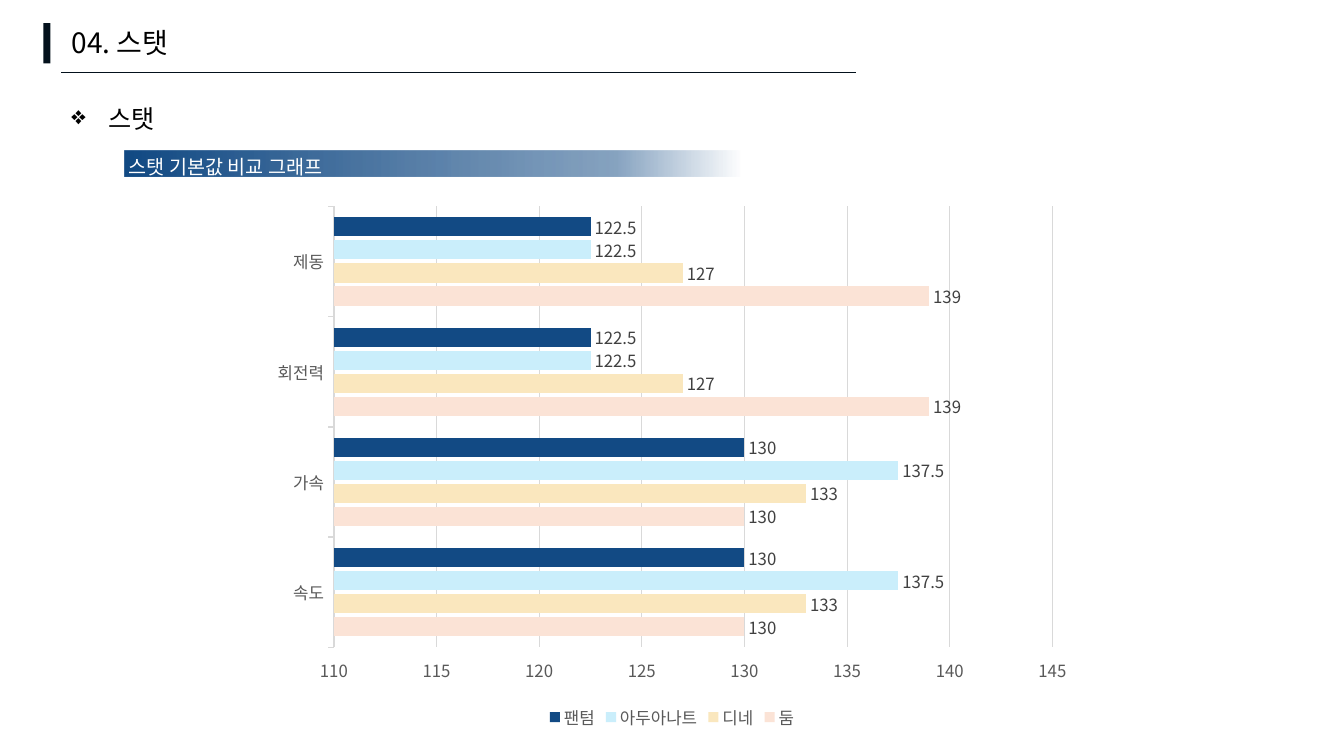
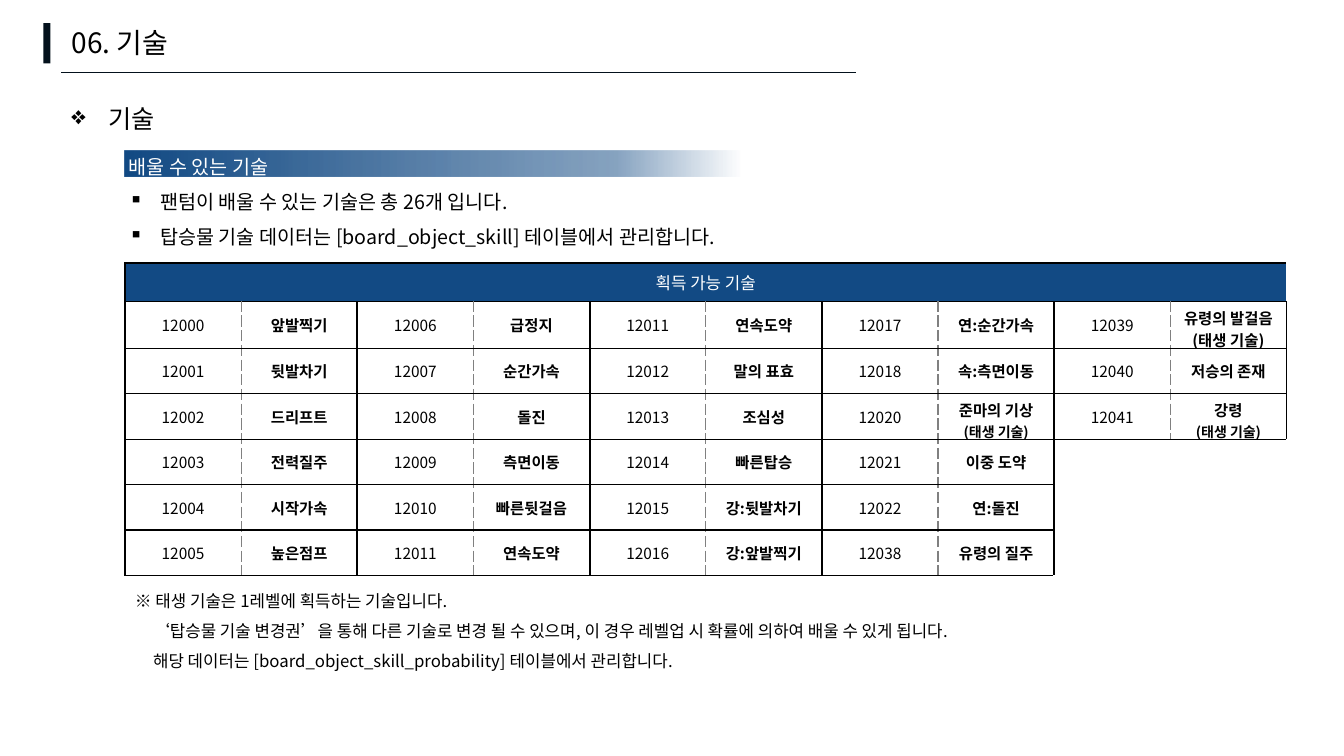
from lxml import etree
from pptx import Presentation
from pptx.chart.data import CategoryChartData
from pptx.dml.color import RGBColor
from pptx.enum.chart import XL_CHART_TYPE as ChartType, XL_LABEL_POSITION as LabelPos
from pptx.enum.chart import XL_LEGEND_POSITION as LegendPos, XL_TICK_MARK as TickMark
from pptx.enum.shapes import MSO_CONNECTOR as Connector, MSO_SHAPE as Shape
from pptx.enum.text import MSO_ANCHOR as Anchor, MSO_AUTO_SIZE as AutoSize, PP_ALIGN as Align
from pptx.oxml.ns import qn
from pptx.util import Inches, Pt

FONT = "Noto Sans CJK KR"
NAVY, INK, BLACK, WHITE = "124A84", "03111C", "000000", "FFFFFF"
GRAY, DARK_GRAY, LABEL_GRAY, GRID = "808080", "595959", "404040", "D9D9D9"

STATS = ["속도", "가속", "회전력", "제동"]
MOUNTS = [
    ("둠", [130, 130, 139, 139], "FBE3D6"),
    ("디네", [133, 133, 127, 127], "FAE7BE"),
    ("아두아나트", [137.5, 137.5, 122.5, 122.5], "CAEEFB"),
    ("팬텀", [130, 130, 122.5, 122.5], NAVY),
]

SKILL_GROUPS = [
    [("12000", "앞발찍기"), ("12001", "뒷발차기"), ("12002", "드리프트"),
     ("12003", "전력질주"), ("12004", "시작가속"), ("12005", "높은점프")],
    [("12006", "급정지"), ("12007", "순간가속"), ("12008", "돌진"),
     ("12009", "측면이동"), ("12010", "빠른뒷걸음"), ("12011", "연속도약")],
    [("12011", "연속도약"), ("12012", "말의 표효"), ("12013", "조심성"),
     ("12014", "빠른탑승"), ("12015", "강:뒷발차기"), ("12016", "강:앞발찍기")],
    [("12017", "연:순간가속"), ("12018", "속:측면이동"), ("12020", "준마의 기상\n(태생 기술)"),
     ("12021", "이중 도약"), ("12022", "연:돌진"), ("12038", "유령의 질주")],
    [("12039", "유령의 발걸음\n(태생 기술)"), ("12040", "저승의 존재"),
     ("12041", "강령\n(태생 기술)")],
]
FULL_SIZE_NOTES = {"12039"}


def rgb(value):
    return RGBColor.from_string(value)


def add_xml(parent, tag, **attributes):
    return etree.SubElement(parent, qn(tag), attributes)


def set_font(font, size=12, color=BLACK, bold=False):
    font.size, font.bold, font.name = Pt(size), bold, FONT
    font.color.rgb = rgb(color)
    add_xml(font._rPr, "a:ea", typeface=FONT)


def write(para, text, note_size=None, **style):
    for index, line in enumerate(text.split("\n")):
        if index:
            para.add_line_break()
            if note_size:
                style["size"] = note_size
        span = para.add_run()
        span.text = line
        set_font(span.font, **style)


def set_indent(para, left, bullet=None):
    props = para._p.get_or_add_pPr()
    props.set("marL", str(Inches(left)))
    props.set("indent", str(-Inches(left) if bullet else 0))
    if bullet:
        add_xml(props, "a:buChar", char=bullet)


def set_borders(cell, **edges):
    props = cell._tc.get_or_add_tcPr()
    for side in "LRTB":
        if side not in edges:
            continue
        color, width, dash = edges[side]
        line = add_xml(props, "a:ln" + side, w=str(Pt(width)))
        add_xml(add_xml(line, "a:solidFill"), "a:srgbClr", val=color)
        add_xml(line, "a:prstDash", val=dash)


class Deck:
    THIN = (BLACK, 1, "solid")
    THICK = (BLACK, 1.5, "solid")
    DASHED = (GRAY, 1, "sysDash")

    def __init__(self):
        self.deck = Presentation()
        self.deck.slide_width, self.deck.slide_height = Inches(13.33), Inches(7.5)
        self.page = None

    def new_page(self, title, topic):
        self.page = self.deck.slides.add_slide(self.deck.slide_layouts[5])
        self.fade_band()
        self.rect(0.43, 0.23, 0.07, 0.4, INK)
        self.rule(0.61, 8.49, 0.72)
        self.title(title)
        self.text(0.61, 0.83, 11.05, 0.5, [(topic, 18, BLACK, 0.37, "❖")])

    def title(self, text):
        box = self.page.shapes.title
        box.left, box.top, box.width, box.height = map(Inches, (0.61, 0.2, 4.69, 0.44))
        frame = box.text_frame
        frame.auto_size, frame.vertical_anchor = AutoSize.NONE, Anchor.TOP
        frame.paragraphs[0].alignment = Align.LEFT
        write(frame.paragraphs[0], text, size=20)

    def rect(self, left, top, width, height, color):
        box = self.page.shapes.add_shape(Shape.RECTANGLE, *map(Inches, (left, top, width, height)))
        box.shadow.inherit = False
        box.fill.solid()
        box.fill.fore_color.rgb = rgb(color)
        box.line.fill.background()
        return box

    def fade_band(self):
        band = self.rect(1.24, 1.49, 6.1, 0.26, NAVY)
        band.fill.gradient()
        band.fill.gradient_angle = 180
        stops = band._element.spPr.find(qn("a:gradFill")).find(qn("a:gsLst"))
        for stop in list(stops):
            stops.remove(stop)
        for position, alpha in ((0, 0), (20, 50), (100, 100)):
            stop = add_xml(stops, "a:gs", pos=str(position * 1000))
            color = add_xml(stop, "a:srgbClr", val=NAVY)
            add_xml(color, "a:alpha", val=str(alpha * 1000))

    def rule(self, start, end, top):
        line = self.page.shapes.add_connector(
            Connector.STRAIGHT, Inches(start), Inches(top), Inches(end), Inches(top))
        line.line.color.rgb = rgb(INK)
        line.line.width = Pt(0.25)
        add_xml(line._element.spPr, "a:effectLst")

    def text(self, left, top, width, height, lines):
        box = self.page.shapes.add_textbox(*map(Inches, (left, top, width, height)))
        frame = box.text_frame
        frame.word_wrap, frame.auto_size = True, AutoSize.SHAPE_TO_FIT_TEXT
        for index, (text, size, color, indent, bullet) in enumerate(lines):
            para = frame.add_paragraph() if index else frame.paragraphs[0]
            set_indent(para, indent, bullet)
            para.line_spacing = 1.5
            write(para, text, size=size, color=color)

    def section(self, heading, bullets=()):
        lines = [(heading, 14, WHITE, 0, None)]
        lines += [(bullet, 14, BLACK, 0.31, "▪") for bullet in bullets]
        self.text(1.18, 1.37, 11.67, 0.41 + 0.35 * len(bullets), lines)

    def bar_chart(self, left, top, width, height):
        data = CategoryChartData()
        data.categories = STATS
        for name, values, _ in MOUNTS:
            data.add_series(name, values)
        chart = self.page.shapes.add_chart(
            ChartType.BAR_CLUSTERED, *map(Inches, (left, top, width, height)), data).chart
        set_font(chart.font, 10)
        chart.has_title = False
        chart.has_legend = True
        chart.legend.position = LegendPos.BOTTOM
        chart.legend.include_in_layout = False
        set_font(chart.legend.font, color=DARK_GRAY)
        for axis in (chart.category_axis, chart.value_axis):
            axis.major_tick_mark, axis.minor_tick_mark = TickMark.OUTSIDE, TickMark.NONE
            set_font(axis.tick_labels.font, color=DARK_GRAY)
        chart.category_axis.format.line.color.rgb = rgb(GRID)
        chart.category_axis.format.line.width = Pt(1)
        scale = chart.value_axis
        scale.minimum_scale, scale.maximum_scale, scale.major_unit = 110, 145, 5
        scale.format.line.fill.background()
        scale.major_gridlines.format.line.color.rgb = rgb(GRID)
        scale.major_gridlines.format.line.width = Pt(0.75)
        plot = chart.plots[0]
        plot.gap_width, plot.overlap, plot.vary_by_categories = 115, -20, False
        for series, (_, _, color) in zip(plot.series, MOUNTS):
            series.format.fill.solid()
            series.format.fill.fore_color.rgb = rgb(color)
            labels = series.data_labels
            labels.show_value, labels.position = True, LabelPos.OUTSIDE_END
            set_font(labels.font, color=LABEL_GRAY)

    def cell(self, cell, text, edges, fill=None, **style):
        set_borders(cell, **edges)
        if fill:
            cell.fill.solid()
            cell.fill.fore_color.rgb = rgb(fill)
        else:
            cell.fill.background()
        cell.vertical_anchor = Anchor.MIDDLE
        if text:
            para = cell.text_frame.paragraphs[0]
            para.alignment = Align.CENTER
            write(para, text, **style)

    def skill_table(self, left, top, width, height):
        row_count, column_count = 7, 2 * len(SKILL_GROUPS)
        last = column_count - 1
        frame = self.page.shapes.add_table(
            row_count, column_count, *map(Inches, (left, top, width, height)))
        table = frame.table
        table.first_row = table.horz_banding = False
        for index, row in enumerate(table.rows):
            row.height = Inches(0.45 if index else 0.38)
        frame.height = Inches(height)

        table.cell(0, 0).merge(table.cell(0, last))
        for column in range(column_count):
            edges = {"T": self.THIN, "B": self.THIN}
            if column == 0:
                edges["L"] = self.THIN
            if column == last:
                edges["R"] = self.THIN
            self.cell(table.cell(0, column), "" if column else "획득 가능 기술", edges,
                      NAVY, color=WHITE)

        for group, skills in enumerate(SKILL_GROUPS):
            column = 2 * group
            outer_left = self.THICK if group else self.THIN
            outer_right = self.THIN if column + 1 == last else self.THICK
            for row, (code, name) in enumerate(skills, 1):
                level = {"T": self.THIN, "B": self.THIN}
                code_cell = table.cell(row, column)
                code_cell.margin_left = code_cell.margin_right = Inches(0.02)
                code_cell.margin_top = code_cell.margin_bottom = Inches(0.01)
                self.cell(code_cell, code, {**level, "L": outer_left, "R": self.DASHED}, size=11)
                self.cell(table.cell(row, column + 1), name,
                          {**level, "L": self.DASHED, "R": outer_right}, size=11, bold=True,
                          note_size=11 if code in FULL_SIZE_NOTES else 10)

        first_empty = len(SKILL_GROUPS[-1]) + 1
        table.cell(first_empty, last - 1).merge(table.cell(row_count - 1, last))
        for row in range(first_empty, row_count):
            level = {}
            if row == first_empty:
                level["T"] = self.THIN
            if row == row_count - 1:
                level["B"] = self.THIN
            self.cell(table.cell(row, last - 1), "", {**level, "L": self.THICK})
            self.cell(table.cell(row, last), "", {**level, "R": self.THIN})


def main():
    slides = Deck()

    slides.new_page("04. 스탯", "스탯")
    slides.section("스탯 기본값 비교 그래프")
    slides.bar_chart(2.59, 1.94, 8.15, 5.34)

    slides.new_page("06. 기술", "기술")
    slides.section("배울 수 있는 기술", [
        "팬텀이 배울 수 있는 기술은 총 26개 입니다.",
        "탑승물 기술 데이터는 [board_object_skill] 테이블에서 관리합니다.",
    ])
    slides.skill_table(1.24, 2.61, 11.52, 3.1)
    slides.text(1.24, 5.71, 10.61, 0.97, [
        ("※ 태생 기술은 1레벨에 획득하는 기술입니다.", 12, BLACK, 0, None),
        ("‘탑승물 기술 변경권’을 통해 다른 기술로 변경 될 수 있으며, "
         "이 경우 레벨업 시 확률에 의하여 배울 수 있게 됩니다.", 12, BLACK, 0.18, None),
        ("해당 데이터는 [board_object_skill_probability] 테이블에서 관리합니다.",
         12, BLACK, 0.18, None),
    ])

    slides.deck.save("out.pptx")


if __name__ == "__main__":
    main()
